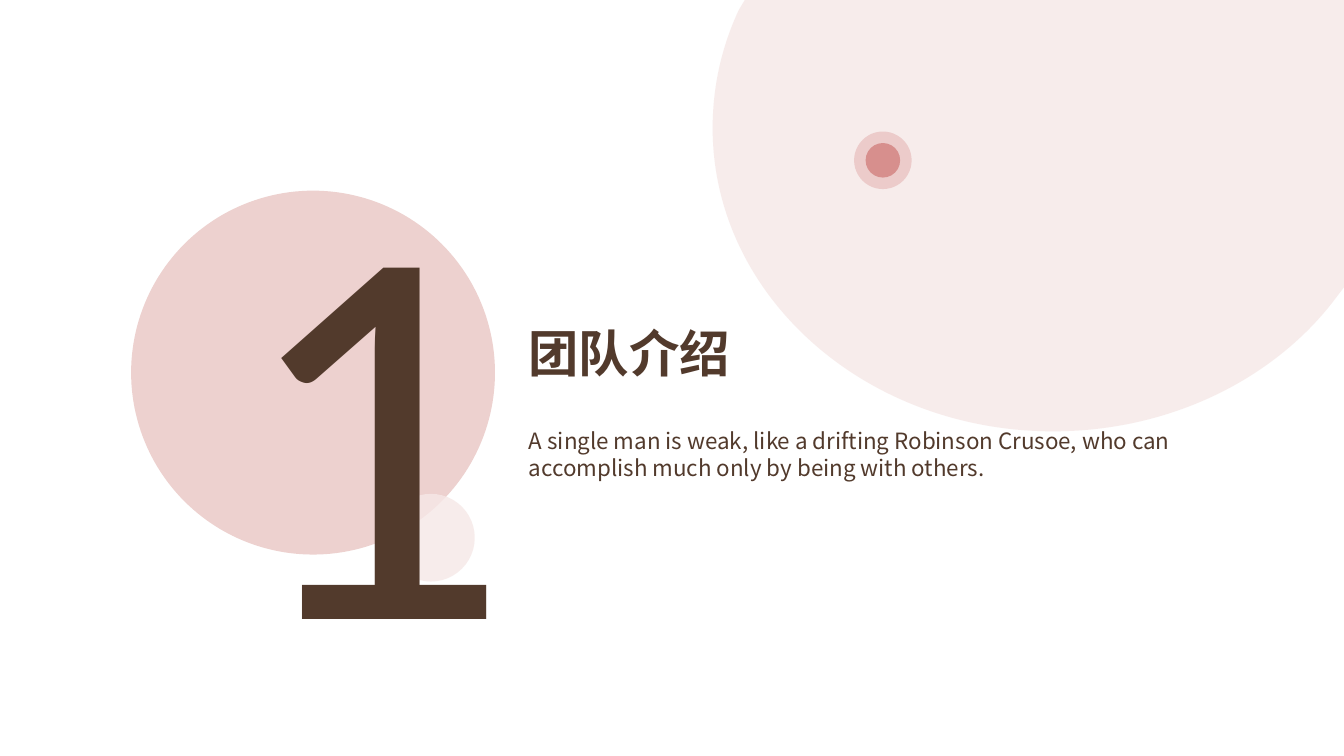
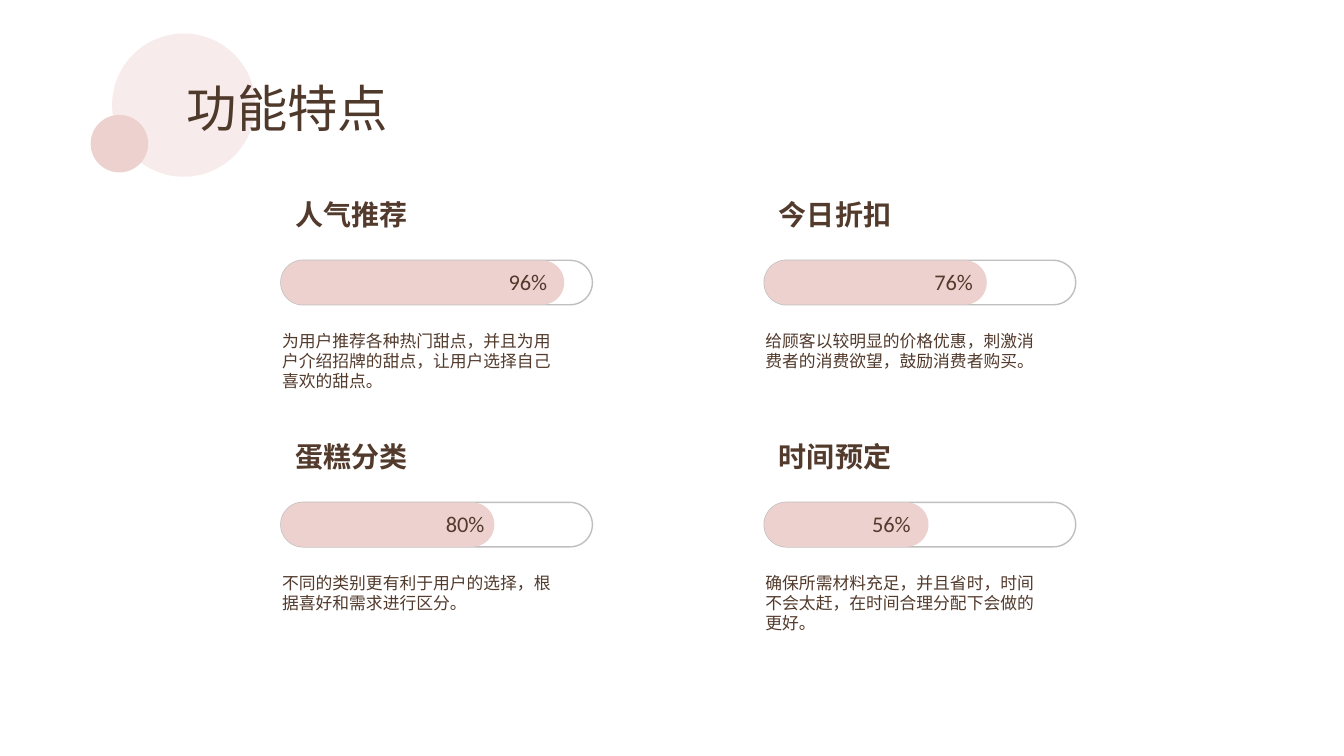
from math import ceil

from lxml import etree
from pptx import Presentation
from pptx.dml.color import RGBColor
from pptx.enum.shapes import MSO_SHAPE
from pptx.enum.text import MSO_ANCHOR, MSO_AUTO_SIZE, PP_ALIGN
from pptx.oxml.ns import qn
from pptx.util import Cm, Pt

ELLIPSE, PILL = MSO_SHAPE.OVAL, MSO_SHAPE.ROUNDED_RECTANGLE
LEFT, CENTER, RIGHT = PP_ALIGN.LEFT, PP_ALIGN.CENTER, PP_ALIGN.RIGHT
TOP, MIDDLE = MSO_ANCHOR.TOP, MSO_ANCHOR.MIDDLE

# Content
SECTION_NUMBER = "1"
SECTION_TITLE = "团队介绍"
SECTION_TEXT = ("A single man is weak, like a drifting Robinson Crusoe, "
                "who can accomplish much only by being with others.")
FEATURES_TITLE = "功能特点"
# Heading, percentage, bar length (cm), gap from label to bar end (cm), text
FEATURES = [
    ("人气推荐", "96%", 7.14, 0.18,
     "为用户推荐各种热门甜点，并且为用户介绍招牌的甜点，让用户选择自己喜欢的甜点。"),
    ("今日折扣", "76%", 5.61, 0.1,
     "给顾客以较明显的价格优惠，刺激消费者的消费欲望，鼓励消费者购买。"),
    ("蛋糕分类", "80%", 5.38, 0,
     "不同的类别更有利于用户的选择，根据喜好和需求进行区分。"),
    ("时间预定", "56%", 4.14, 0.2,
     "确保所需材料充足，并且省时，时间不会太赶，在时间合理分配下会做的更好。"),
]

# Shared style
COLORS = {"text": "523A2C", "title": "4F392B", "pink": "EDD1CF",
          "pale": "F6E8E7", "halo": "ECCBCA", "rose": "D78F8D",
          "outline": "BFBFBF"}
LATIN, CJK, CJK_TITLE = "Calibri", "Noto Sans CJK SC", "Noto Sans CJK JP"
SLIDE_WIDTH, SLIDE_HEIGHT = 33.87, 19.05
TITLE_SIZE = 36
PALE_OPACITY = 80

# Ellipse cut by the top and right edges (cm): one point is a line,
# three points are a curve
CORNER_START = (26.54, 10.87)
CORNER_SEGMENTS = [
    [(29.51, 10.87), (32.16, 9.53), (33.68, 7.49)],
    [(33.87, 7.24)],
    [(33.87, 0)],
    [(18.77, 0)],
    [(18.62, 0.25)],
    [(18.19, 1.17), (17.96, 2.17), (17.96, 3.23)],
    [(17.96, 7.44), (21.79, 10.87), CORNER_START],
]

# Feature grid (cm)
COLUMNS = 2
GRID_LEFT, GRID_TOP = 7.08, 4.85
COLUMN_PITCH, ROW_PITCH = 12.18, 6.1
BAR_WIDTH, BAR_HEIGHT = 7.85, 1.12
BAR_OFFSET, LABEL_OFFSET, TEXT_OFFSET = 1.71, 1.77, 3.36
CHARACTERS_PER_LINE, LINE_HEIGHT, TEXT_MARGINS = 16, 0.51, 0.25


def color(name):
    return RGBColor.from_string(COLORS[name])


def style_shape(shape, fill=None, line=None, opacity=100):
    shape.shadow.inherit = False
    if fill:
        shape.fill.solid()
        shape.fill.fore_color.rgb = color(fill)
        if opacity < 100:
            color_element = shape._element.spPr.find(qn("a:solidFill"))[0]
            alpha = etree.SubElement(color_element, qn("a:alpha"))
            alpha.set("val", str(opacity * 1000))
    else:
        shape.fill.background()
    if line:
        shape.line.color.rgb = color(line)
        shape.line.width = Pt(1)
    else:
        shape.line.fill.background()


def add_circle(parent, center_x, center_y, diameter, fill, opacity=100):
    circle = parent.shapes.add_shape(
        ELLIPSE, Cm(center_x - diameter / 2), Cm(center_y - diameter / 2),
        Cm(diameter), Cm(diameter))
    style_shape(circle, fill, opacity=opacity)


def add_pill(slide, left, top, width, fill=None, line=None):
    pill = slide.shapes.add_shape(
        PILL, Cm(left), Cm(top), Cm(width), Cm(BAR_HEIGHT))
    pill.adjustments[0] = 0.5
    style_shape(pill, fill, line)


def write(shape, text, size, latin=LATIN, east_asian=CJK, bold=False,
          align=LEFT, anchor=TOP, wrap=False, fit=True, ink="text"):
    frame = shape.text_frame
    frame.text = text
    frame.word_wrap = wrap
    frame.auto_size = (MSO_AUTO_SIZE.SHAPE_TO_FIT_TEXT if fit
                       else MSO_AUTO_SIZE.NONE)
    frame.vertical_anchor = anchor
    paragraph = frame.paragraphs[0]
    paragraph.alignment = align
    font = paragraph.runs[0].font
    font.size, font.bold, font.name = Pt(size), bold, latin
    font.color.rgb = color(ink)
    latin_element = font._element.find(qn("a:latin"))
    east_asian_element = etree.Element(qn("a:ea"), typeface=east_asian)
    latin_element.addnext(east_asian_element)


def add_text(slide, left, top, width, height, text, size, **style):
    box = slide.shapes.add_textbox(Cm(left), Cm(top), Cm(width), Cm(height))
    write(box, text, size, **style)


def set_title(slide, left, top, text, **style):
    title = slide.shapes.title
    title.left, title.top = Cm(left), Cm(top)
    title.width, title.height = Cm(5.6), Cm(1.8)
    write(title, text, TITLE_SIZE, **style)
    # Bring the title in front of the circles
    slide.shapes._spTree.append(title._element)


def add_corner_ellipse(slide):
    builder = slide.shapes.build_freeform(*map(Cm, CORNER_START))
    points = [(Cm(x), Cm(y)) for segment in CORNER_SEGMENTS
              for x, y in segment]
    builder.add_line_segments(points, close=True)
    shape = builder.convert_to_shape()
    # Merge each three-point segment into one Bezier curve
    lines = iter(list(shape._element.iter(qn("a:lnTo"))))
    for segment in CORNER_SEGMENTS:
        first, *others = [next(lines) for _ in segment]
        if others:
            first.tag = qn("a:cubicBezTo")
            for line in others:
                first.append(line[0])
                line.getparent().remove(line)
    style_shape(shape, "pale", opacity=PALE_OPACITY)


def build_section(slide):
    add_circle(slide, 7.89, 9.39, 9.17, "pink")
    add_circle(slide, 10.86, 13.55, 2.21, "pale", PALE_OPACITY)
    add_text(slide, 5.66, 5.76, 2.64, 8.71, SECTION_NUMBER, 390,
             align=CENTER, anchor=MIDDLE, wrap=True, fit=False)
    add_text(slide, 13.08, 10.64, 17.55, 1.63, SECTION_TEXT, 16,
             latin=CJK, wrap=True)
    set_title(slide, 13.06, 8, SECTION_TITLE, bold=True)
    add_corner_ellipse(slide)
    dot = slide.shapes.add_group_shape()
    for diameter, fill in ((1.45, "halo"), (0.87, "rose")):
        add_circle(dot, 22.25, 4.04, diameter, fill)


def build_features(slide):
    for index, (heading, percent, length, gap, text) in enumerate(FEATURES):
        row, column = divmod(index, COLUMNS)
        left = GRID_LEFT + column * COLUMN_PITCH
        top = GRID_TOP + row * ROW_PITCH
        add_pill(slide, left, top + BAR_OFFSET, BAR_WIDTH, line="outline")
        add_pill(slide, left, top + BAR_OFFSET, length, fill="pink")
        add_text(slide, left + 0.1, top, 3.35, 1.12, heading, 20,
                 bold=True, align=RIGHT)
        add_text(slide, left + length - gap - 1.5, top + LABEL_OFFSET,
                 1.5, 0.94, percent, 16, align=RIGHT)
        line_count = ceil(len(text) / CHARACTERS_PER_LINE)
        add_text(slide, left - 0.22, top + TEXT_OFFSET, 7.59,
                 TEXT_MARGINS + line_count * LINE_HEIGHT, text, 12, wrap=True)
    add_circle(slide, 4.63, 2.65, 3.61, "pale", PALE_OPACITY)
    add_circle(slide, 3.01, 3.62, 1.45, "pink")
    set_title(slide, 4.45, 1.82, FEATURES_TITLE, latin=CJK_TITLE,
              east_asian=CJK_TITLE, ink="title")
    slide.shapes.title.text_frame.paragraphs[0].space_before = Pt(6)


def main():
    presentation = Presentation()
    presentation.slide_width = Cm(SLIDE_WIDTH)
    presentation.slide_height = Cm(SLIDE_HEIGHT)
    title_only = presentation.slide_layouts[5]
    for build in (build_section, build_features):
        build(presentation.slides.add_slide(title_only))
    presentation.save("out.pptx")


if __name__ == "__main__":
    main()
